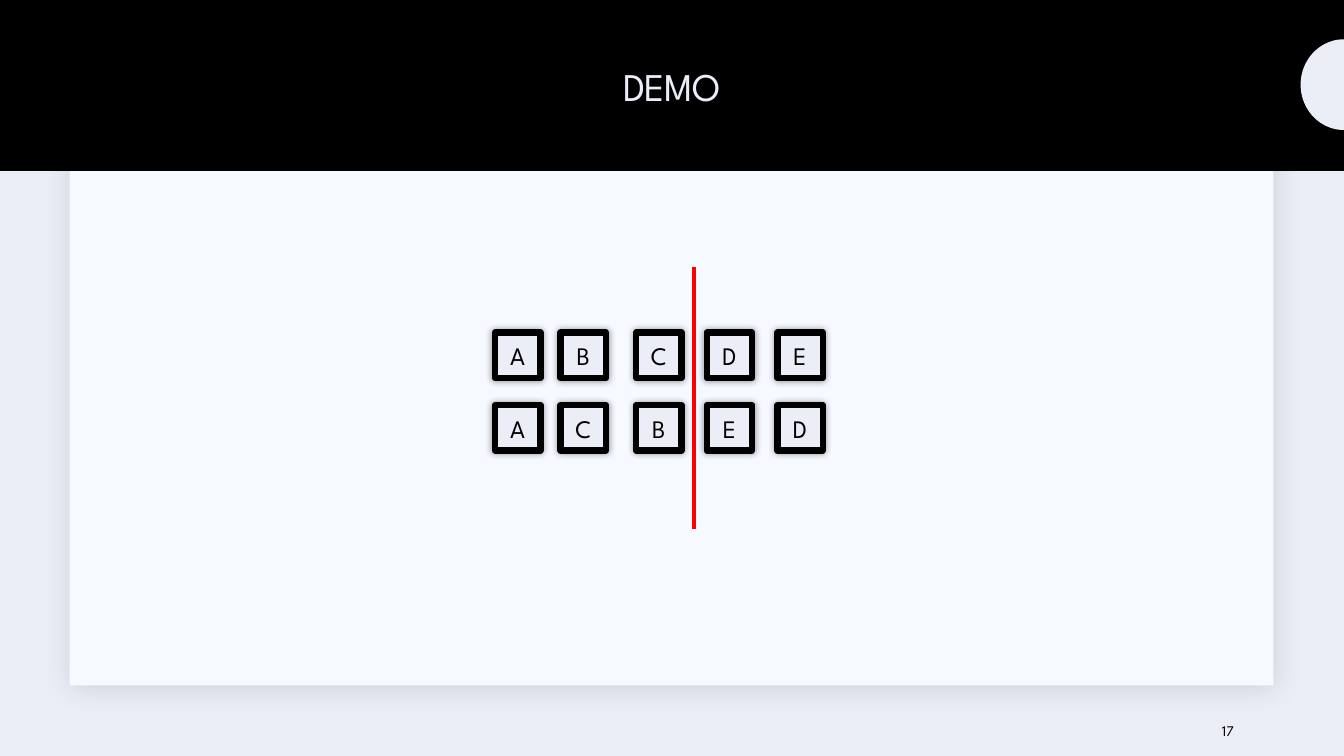
"""Build the DEMO slide: two rows of lettered boxes split by a red line."""
from dataclasses import dataclass
from math import cos, pi, sin
from typing import Any

from lxml.etree import SubElement
from pptx import Presentation
from pptx.dml.color import RGBColor
from pptx.enum.shapes import MSO_CONNECTOR, MSO_SHAPE
from pptx.enum.text import MSO_ANCHOR, MSO_AUTO_SIZE, PP_ALIGN
from pptx.oxml.ns import qn
from pptx.util import Inches, Pt

COLORS = {"mist": "ECEEF7", "panel": "F6F9FF", "black": "000000",
          "shade": "1F2125", "red": "FF0000"}
FONT = "League Spartan"
COLUMNS = (4.91, 5.56, 6.31, 7.01, 7.71)
ROWS = {3.3: "ABCDE", 4.02: "ACBED"}


@dataclass(frozen=True)
class Shadow:
    color: str
    alpha: int
    blur: float
    dist: float
    angle: int


@dataclass(frozen=True)
class Box:
    left: float
    top: float
    width: float
    height: float
    fill: str
    line: float = 0
    shadow: Shadow | None = None
    text: str = ""


def rgb(name: str) -> RGBColor:
    return RGBColor.from_string(COLORS[name])


def set_attrs(obj: Any, values: dict[str, Any]) -> None:
    for name, value in values.items():
        setattr(obj, name, value)


def write(sp: Any, text: str, size: float, color: str, align: PP_ALIGN) -> Any:
    tf = sp.text_frame
    set_attrs(tf, {"word_wrap": True, "auto_size": MSO_AUTO_SIZE.NONE,
                   "vertical_anchor": MSO_ANCHOR.MIDDLE})
    p = tf.paragraphs[0]
    p.alignment = align
    r = p.add_run()
    r.text = text
    set_attrs(r.font, {"name": FONT, "size": Pt(size)})
    r.font.color.rgb = rgb(color)
    return p


def paint(sp: Any, fill: str, line: float = 0) -> None:
    sp.shadow.inherit = False
    sp.fill.solid()
    sp.fill.fore_color.rgb = rgb(fill)
    if line:
        sp.line.color.rgb = rgb("black")
        sp.line.width = Pt(line)
    else:
        sp.line.fill.background()


def add_shadow(sp: Any, shadow: Shadow) -> None:
    effects = sp.element.spPr.find(qn("a:effectLst"))
    outer = SubElement(effects, qn("a:outerShdw"), {
        "blurRad": str(Pt(shadow.blur)), "dist": str(Pt(shadow.dist)),
        "dir": str(shadow.angle * 60000), "algn": "ctr", "rotWithShape": "0"})
    color = SubElement(outer, qn("a:srgbClr"), {"val": COLORS[shadow.color]})
    SubElement(color, qn("a:alpha"), {"val": str(shadow.alpha * 1000)})


def add_box(s: Any, box: Box) -> None:
    sp = s.shapes.add_shape(MSO_SHAPE.RECTANGLE, Inches(box.left), Inches(box.top),
                            Inches(box.width), Inches(box.height))
    paint(sp, box.fill, box.line)
    if box.shadow:
        add_shadow(sp, box.shadow)
    if box.text:
        write(sp, box.text, 18, "black", PP_ALIGN.CENTER)


def add_half_circle(s: Any, x: float, y: float, rx: float, ry: float) -> None:
    angles = [pi / 2 + pi * i / 48 for i in range(49)]
    points = [(Inches(x + rx * cos(a)), Inches(y + ry * sin(a))) for a in angles]
    builder = s.shapes.build_freeform(*points[0])
    builder.add_line_segments(points[1:])
    paint(builder.convert_to_shape(), "mist")


def add_title(s: Any, text: str) -> None:
    sp = s.shapes.title
    set_attrs(sp, {"left": Inches(0.83), "top": Inches(0.33),
                   "width": Inches(11.67), "height": Inches(1.1)})
    p = write(sp, text, 28, "mist", PP_ALIGN.CENTER)
    p.line_spacing = 0.9
    p.runs[0].font._element.set("spc", "-50")
    sp.element.getparent().append(sp.element)


def add_divider(s: Any, x: float, top: float, bottom: float) -> None:
    cx = s.shapes.add_connector(MSO_CONNECTOR.STRAIGHT, Inches(x), Inches(top),
                                Inches(x), Inches(bottom))
    cx.line.color.rgb = rgb("red")
    cx.line.width = Pt(3)
    SubElement(cx.element.spPr, qn("a:effectLst"))


def main() -> None:
    prs = Presentation()
    set_attrs(prs, {"slide_width": Inches(13.33), "slide_height": Inches(7.5)})
    s = prs.slides.add_slide(prs.slide_layouts[5])
    s.background.fill.solid()
    s.background.fill.fore_color.rgb = rgb("mist")

    add_box(s, Box(0.69, 0.69, 11.94, 6.11, "panel",
                   shadow=Shadow("shade", 15, 20, 2, 45)))
    add_box(s, Box(0, 0, 13.33, 1.69, "black", 1.25))
    add_half_circle(s, 13.33, 0.84, 0.43, 0.45)
    add_title(s, "DEMO")
    number = s.shapes.add_textbox(Inches(12.02), Inches(7.05), Inches(0.85), Inches(0.4))
    write(number, "17", 10.5, "black", PP_ALIGN.LEFT)

    glow = Shadow("black", 40, 5, 0, 0)
    for top, letters in ROWS.items():
        for left, letter in zip(COLUMNS, letters):
            add_box(s, Box(left, top, 0.45, 0.45, "mist", 4.5, glow, letter))
    add_divider(s, 6.88, 2.65, 5.25)
    prs.save("out.pptx")


if __name__ == "__main__":
    main()
